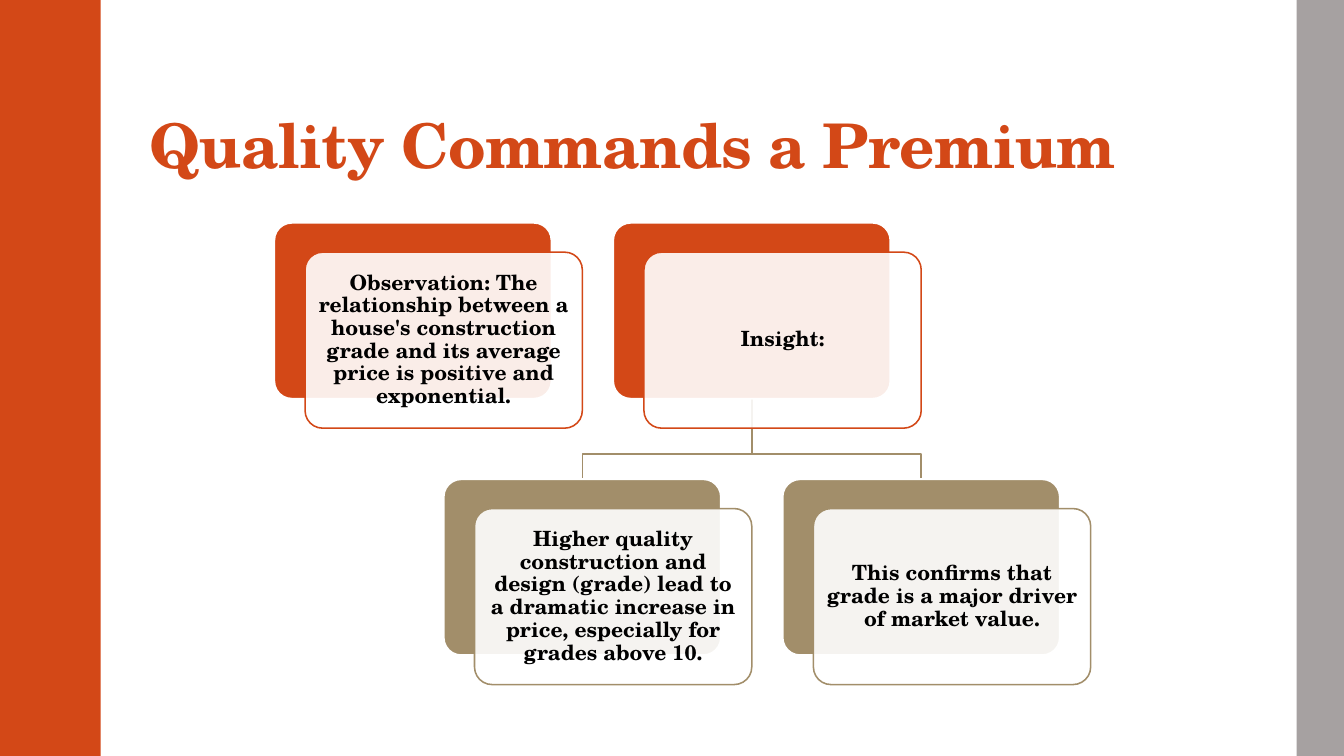
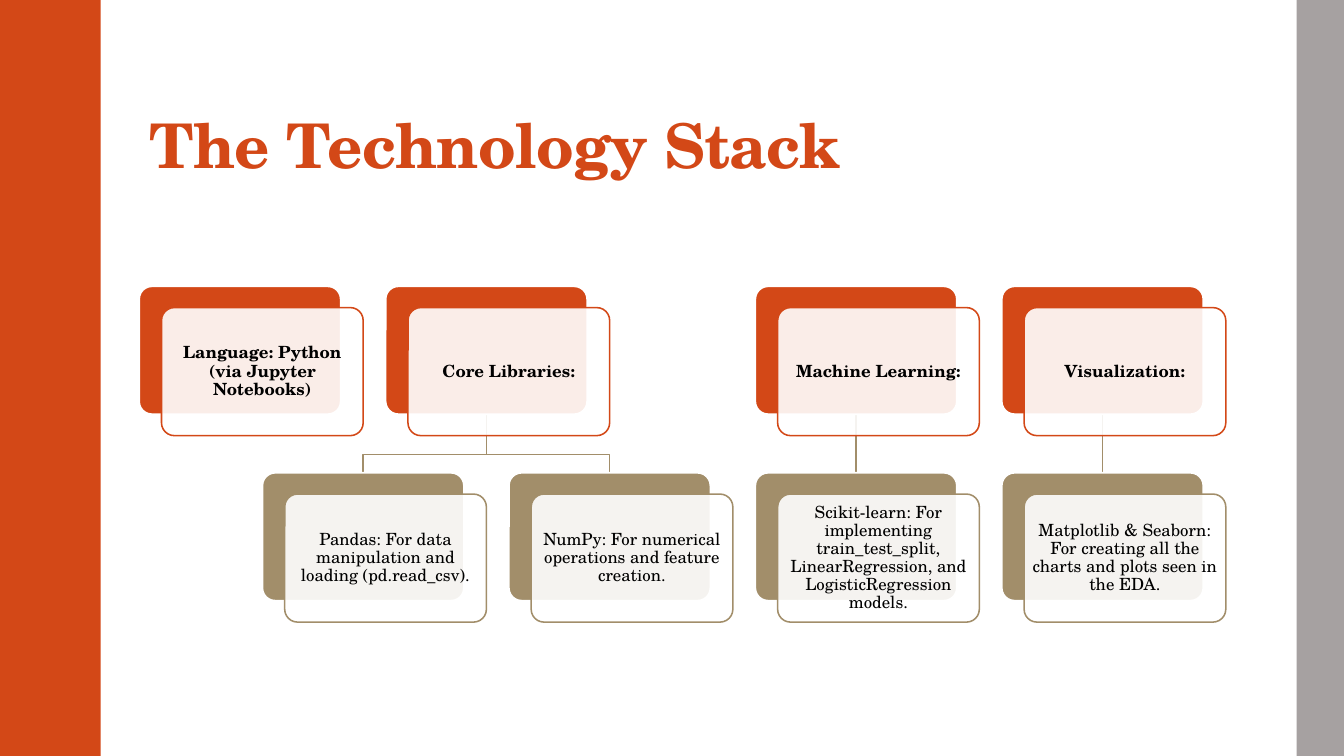
from lxml import etree
from pptx import Presentation
from pptx.dml.color import RGBColor
from pptx.enum.shapes import MSO_CONNECTOR, MSO_SHAPE
from pptx.enum.text import MSO_ANCHOR, MSO_AUTO_SIZE, PP_ALIGN
from pptx.oxml.ns import qn
from pptx.util import Inches, Pt

RECT, ROUNDED = MSO_SHAPE.RECTANGLE, MSO_SHAPE.ROUNDED_RECTANGLE
STRAIGHT = MSO_CONNECTOR.STRAIGHT
LEFT, CENTER = PP_ALIGN.LEFT, PP_ALIGN.CENTER
MIDDLE, BOTTOM = MSO_ANCHOR.MIDDLE, MSO_ANCHOR.BOTTOM
FONT = "TeX Gyre Schola"
ORANGE, TAN, GRAY, WHITE, BLACK = "D34817", "A28E6A", "A6A1A1", "FFFFFF", "000000"
WIDTH, HEIGHT = 13.33, 7.5

CARD_HEIGHT = 0.635
COLUMN_PITCH = 11 / 9
ROW_PITCH = 0.925
OFFSET_X, OFFSET_Y = 1 / 9, 0.106
BAR_RISE = 0.091
INSET = 0.022

SLIDES = [
    {
        "title": "Quality Commands a Premium",
        "left": 2.72, "top": 2.21, "card": 2.75, "size": 15, "bold_details": True,
        "topics": [
            (0, "Observation: The relationship between a house's construction grade "
                "and its average price is positive and exponential.", []),
            (1, "Insight:", [
                (0.5, "Higher quality construction and design (grade) lead to a dramatic "
                      "increase in price, especially for grades above 10."),
                (1.5, "This confirms that grade is a major driver of market value."),
            ]),
        ],
    },
    {
        "title": "The Technology Stack",
        "left": 1.38, "top": 2.84, "card": 2, "size": 12, "bold_details": False,
        "topics": [
            (0, "Language: Python (via Jupyter Notebooks)", []),
            (1, "Core Libraries:", [
                (0.5, "Pandas: For data manipulation and loading (pd.read_csv)."),
                (1.5, "NumPy: For numerical operations and feature creation."),
            ]),
            (2.5, "Machine Learning:", [
                (2.5, "Scikit-learn: For implementing train_test_split, LinearRegression, "
                      "and LogisticRegression models."),
            ]),
            (3.5, "Visualization:", [
                (3.5, "Matplotlib & Seaborn: For creating all the charts and plots "
                      "seen in the EDA."),
            ]),
        ],
    },
]


def rgb(hex_color):
    return RGBColor.from_string(hex_color)


def add_block(slide, kind, left, top, width, height, fill):
    block = slide.shapes.add_shape(
        kind, Inches(left), Inches(top), Inches(width), Inches(height))
    block.shadow.inherit = False
    block.fill.solid()
    block.fill.fore_color.rgb = rgb(fill)
    block.line.fill.background()
    return block


deck = Presentation()
deck.slide_width, deck.slide_height = Inches(WIDTH), Inches(HEIGHT)
title_only = deck.slide_layouts[5]

for content in SLIDES:
    slide = deck.slides.add_slide(title_only)

    for left, width, color in ((0, 1, ORANGE), (12.86, 0.5, GRAY)):
        add_block(slide, RECT, left, 0, width, HEIGHT, color)

    title = slide.shapes.title
    title.left, title.top = Inches(1.38), Inches(0.32)
    title.width, title.height = Inches(10.78), Inches(1.53)
    heading = title.text_frame
    heading.text = content["title"]
    heading.auto_size = MSO_AUTO_SIZE.NONE
    heading.vertical_anchor = BOTTOM
    heading.margin_left = heading.margin_right = Inches(0.1)
    heading.margin_top, heading.margin_bottom = Inches(0.03), Inches(0.05)
    heading.paragraphs[0].alignment = LEFT
    heading.paragraphs[0].line_spacing = 0.9
    heading_run = heading.paragraphs[0].runs[0]
    heading_run.font.name, heading_run.font.size = FONT, Pt(44)
    heading_run.font.bold = True
    heading_run.font.color.rgb = rgb(ORANGE)
    heading_run._r.get_or_add_rPr().set("spc", "-50")

    card = content["card"]
    topic_top = content["top"]
    detail_top = topic_top + ROW_PITCH * card
    trunk_top = topic_top + CARD_HEIGHT * card
    bar_y = detail_top - BAR_RISE * card
    first_center = content["left"] + card / 2

    cards = []
    for column, topic, details in content["topics"]:
        cards.append((column, topic_top, topic, ORANGE, True))
        trunk_x = first_center + column * COLUMN_PITCH * card
        for place, detail in details:
            cards.append((place, detail_top, detail, TAN, content["bold_details"]))
            drop_x = first_center + place * COLUMN_PITCH * card
            if place == column:
                branch = slide.shapes.add_connector(
                    STRAIGHT, Inches(trunk_x), Inches(trunk_top),
                    Inches(drop_x), Inches(detail_top))
                etree.SubElement(branch._element.spPr, qn("a:effectLst"))
            else:
                elbow = slide.shapes.build_freeform(
                    Inches(trunk_x), Inches(trunk_top))
                elbow.add_line_segments(
                    [(Inches(trunk_x), Inches(bar_y)), (Inches(drop_x), Inches(bar_y)),
                     (Inches(drop_x), Inches(detail_top))], close=False)
                branch = elbow.convert_to_shape()
                branch.shadow.inherit = False
                branch.fill.background()
            branch.line.color.rgb = rgb(TAN)
            branch.line.width = Pt(1.1)

    for column, top, wording, color, bold in cards:
        left = content["left"] + column * COLUMN_PITCH * card
        back = add_block(slide, ROUNDED, left, top, card, CARD_HEIGHT * card, color)
        front = add_block(slide, ROUNDED, left + OFFSET_X * card, top + OFFSET_Y * card,
                          card, CARD_HEIGHT * card, WHITE)
        for layer, outline, weight in ((back, WHITE, 1.35), (front, color, 1.1)):
            layer.adjustments[0] = 0.1
            layer.line.color.rgb = rgb(outline)
            layer.line.width = Pt(weight)
        front_color = front._element.spPr.find(qn("a:solidFill"))[0]
        etree.SubElement(front_color, qn("a:alpha"), val="90000")

        label = front.text_frame
        label.text = wording
        label.word_wrap = True
        label.vertical_anchor = MIDDLE
        label.margin_left = label.margin_right = Inches(INSET * card)
        label.margin_top = label.margin_bottom = Inches(INSET * card)
        label.paragraphs[0].alignment = CENTER
        label.paragraphs[0].line_spacing = 0.9
        label_font = label.paragraphs[0].runs[0].font
        label_font.name, label_font.size = FONT, Pt(content["size"])
        label_font.bold = bold
        label_font.color.rgb = rgb(BLACK)

deck.save("out.pptx")
